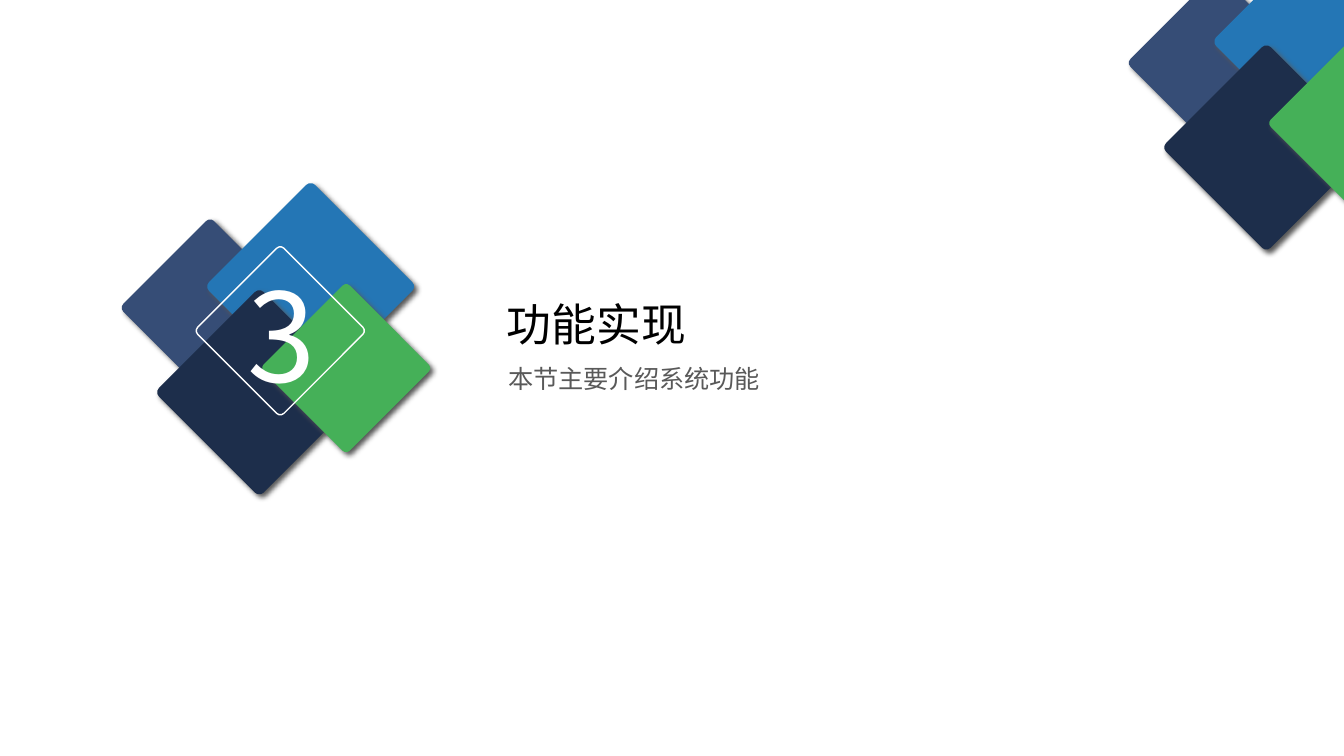
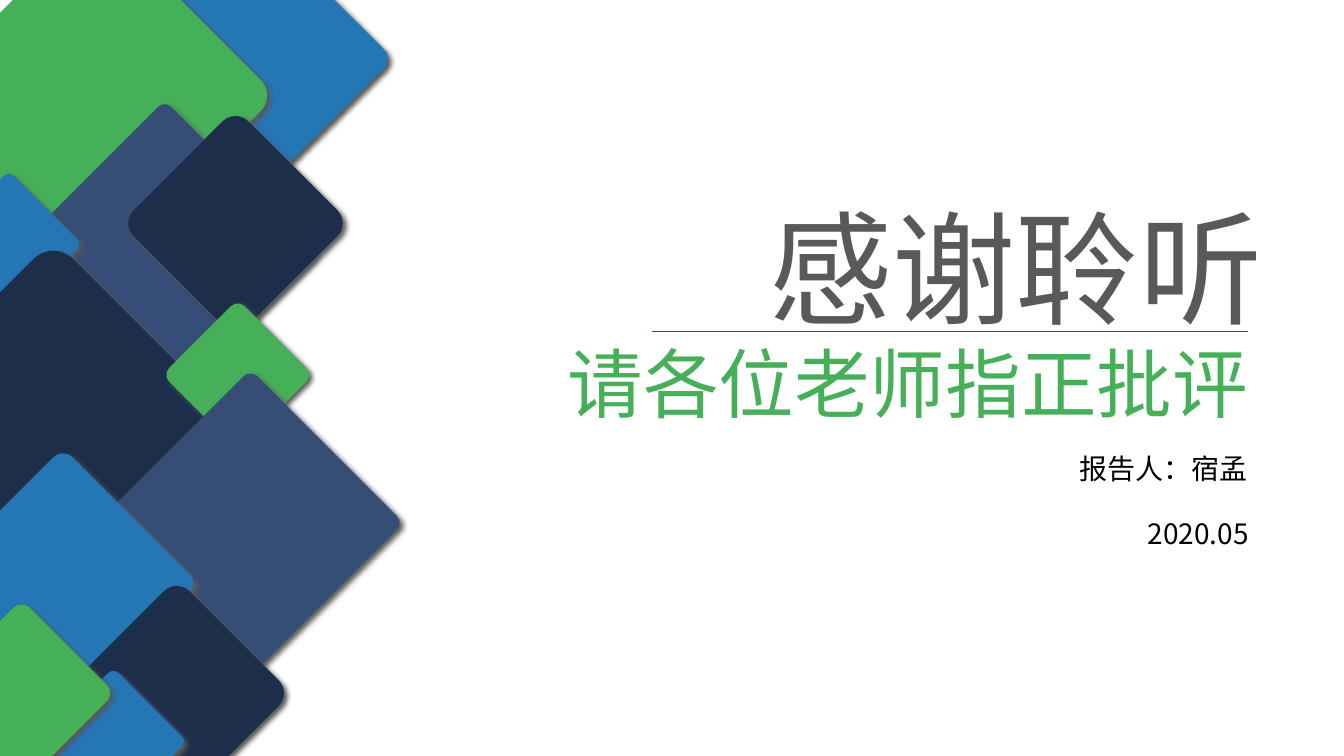
import lxml.etree
import pptx
import pptx.dml.color
import pptx.enum.shapes
import pptx.enum.text
import pptx.oxml.ns
import pptx.util

Cm = pptx.util.Cm
Pt = pptx.util.Pt
LEFT, CENTER, RIGHT = (getattr(pptx.enum.text.PP_ALIGN, n) for n in ("LEFT", "CENTER", "RIGHT"))

FONT = "Noto Sans CJK SC"
BLUE, GREEN, SLATE, NAVY = "2476B5", "45B058", "364D76", "1D2E4B"
GREY, BLACK, WHITE = "595959", "000000", "FFFFFF"
SECTION_LAYOUT = 2

CLUSTER_ROUNDING = 0.042
CLUSTER = [
    (0, 0.81, 3.23, SLATE),
    (2.26, 0, 3.78, BLUE),
    (0.99, 2.69, 3.73, NAVY),
    (3.51, 2.41, 3.07, GREEN),
]

COLUMN_ROUNDING = {BLUE: 0.069, GREEN: 0.089, SLATE: 0.042, NAVY: 0.112}
COLUMN = [
    (4.06, -0.94, 4.85, BLUE),
    (-0.76, -0.79, 6.4, GREEN),
    (1.42, 3.66, 5.46, SLATE),
    (3.89, 3.58, 4.09, NAVY),
    (-1.09, 4.85, 2.62, BLUE),
    (-1.83, 7.34, 6.35, NAVY),
    (4.65, 8.1, 2.69, GREEN),
    (3.58, 10.44, 5.46, SLATE),
    (-0.84, 12.29, 4.85, BLUE),
    (2.41, 15.42, 4.09, NAVY),
    (-0.79, 16.13, 2.69, GREEN),
    (1.55, 17.37, 2.62, BLUE),
    (-1.12, 15.8, 3.33, GREEN),
]


def rgb(color):
    """Turn a hex string into a colour."""
    return pptx.dml.color.RGBColor.from_string(color)


def child(parent, tag, **attrs):
    """Append a DrawingML element and return it."""
    return lxml.etree.SubElement(parent, pptx.oxml.ns.qn(tag), attrs)


def set_all(obj, values):
    """Set each attribute in a dict of format values."""
    for name, value in values.items():
        setattr(obj, name, value)


def cast_shadow(sp):
    """Give a shape the soft shadow to its lower right."""
    sp.shadow.inherit = False
    effects = sp.element.spPr.find(pptx.oxml.ns.qn("a:effectLst"))
    shadow = child(effects, "a:outerShdw", blurRad=str(Pt(4)), dist=str(Pt(3)),
                   dir="2700000", algn="tl", rotWithShape="0")
    child(shadow, "a:srgbClr", val=GREY)


def diamond(s, x, y, size, rounding, fill=None, line=None):
    """Add a rounded square standing on its corner."""
    sp = s.shapes.add_shape(pptx.enum.shapes.MSO_SHAPE.ROUNDED_RECTANGLE,
                            Cm(x), Cm(y), Cm(size), Cm(size))
    sp.rotation = 315
    sp.adjustments[0] = rounding
    if fill:
        sp.fill.solid()
        sp.fill.fore_color.rgb = rgb(fill)
        cast_shadow(sp)
    else:
        sp.fill.background()
        sp.shadow.inherit = False
    if line:
        sp.line.color.rgb = rgb(line)
        sp.line.width = Pt(1)
    else:
        sp.line.fill.background()


def write(sp, box, text, size, color, align=LEFT, spacing=1.0):
    """Place a text shape in its box and fill it with one formatted line."""
    set_all(sp, dict(zip(("left", "top", "width", "height"), map(Cm, box))))
    tf = sp.text_frame
    tf.text = text
    set_all(tf, {
        "word_wrap": True,
        "auto_size": pptx.enum.text.MSO_AUTO_SIZE.SHAPE_TO_FIT_TEXT,
        "vertical_anchor": pptx.enum.text.MSO_ANCHOR.TOP,
    })
    p = tf.paragraphs[0]
    set_all(p, {"alignment": align, "line_spacing": spacing, "space_before": Pt(0)})
    r = p.runs[0]
    set_all(r.font, {"name": FONT, "size": Pt(size), "bold": False})
    r.font.color.rgb = rgb(color)
    props = r.font._element
    props.set("cap", "none")
    child(props, "a:ea", typeface=FONT)


def add_text(s, box, *args, **kwargs):
    """Add a text box with one formatted line."""
    write(s.shapes.add_textbox(*map(Cm, box)), box, *args, **kwargs)


def cluster(s, left, top):
    """Draw the four overlapping diamonds from a top left corner."""
    for x, y, size, color in CLUSTER:
        diamond(s, left + x, top + y, size, CLUSTER_ROUNDING, color)


def number_badge(s, left, top, number):
    """Draw the cluster with a section number in an outlined diamond."""
    cluster(s, left, top)
    add_text(s, (left + 2.21, top + 1.09, 2.41, 4.01), number, 88, WHITE, CENTER)
    diamond(s, left + 1.85, top + 1.47, 3.07, CLUSTER_ROUNDING, line=WHITE)


def diamond_column(s, left, top):
    """Draw the column of diamonds along the slide edge."""
    for x, y, size, color in COLUMN:
        diamond(s, left + x, top + y, size, COLUMN_ROUNDING[color], color)


def rule(s, left, top, width):
    """Draw a thin horizontal line."""
    line = s.shapes.add_connector(pptx.enum.shapes.MSO_CONNECTOR.STRAIGHT,
                                  Cm(left), Cm(top), Cm(left + width), Cm(top))
    line.line.color.rgb = rgb(SLATE)
    line.line.width = Pt(0.5)
    child(line.element.spPr, "a:effectLst")


def section_slide(prs, number, title, summary):
    """Build a section opener."""
    s = prs.slides.add_slide(prs.slide_layouts[SECTION_LAYOUT])
    write(s.shapes.title, (12.52, 7.34, 11.71, 1.63), title, 32, BLACK)
    write(s.placeholders[1], (12.55, 8.81, 17.4, 1.24), summary, 18, GREY, spacing=1.3)
    cluster(s, 29.06, -0.84)
    number_badge(s, 3.68, 5.33, number)


def closing_slide(prs, title, request, reporter, date):
    """Build the closing slide."""
    s = prs.slides.add_slide(prs.slide_layouts[SECTION_LAYOUT])
    diamond_column(s, 0, 0)
    write(s.shapes.title, (15.98, 4.72, 16.08, 4.01), title, 88, GREY, RIGHT)
    write(s.placeholders[1], (9.93, 8.36, 21.77, 2.57), request, 54, GREEN, RIGHT)
    rule(s, 16.43, 8.36, 15.02)
    add_text(s, (24.94, 11.25, 6.76, 1.12), reporter, 20, BLACK, RIGHT)
    add_text(s, (26.16, 12.88, 5.56, 1.12), date, 20, BLACK, RIGHT)


def main():
    """Build and save the presentation."""
    prs = pptx.Presentation()
    set_all(prs, {"slide_width": Cm(33.87), "slide_height": Cm(19.05)})
    section_slide(prs, "3", "功能实现", "本节主要介绍系统功能")
    closing_slide(prs, "感谢聆听", "请各位老师指正批评", "报告人：宿孟", "2020.05")
    prs.save("out.pptx")


main()
